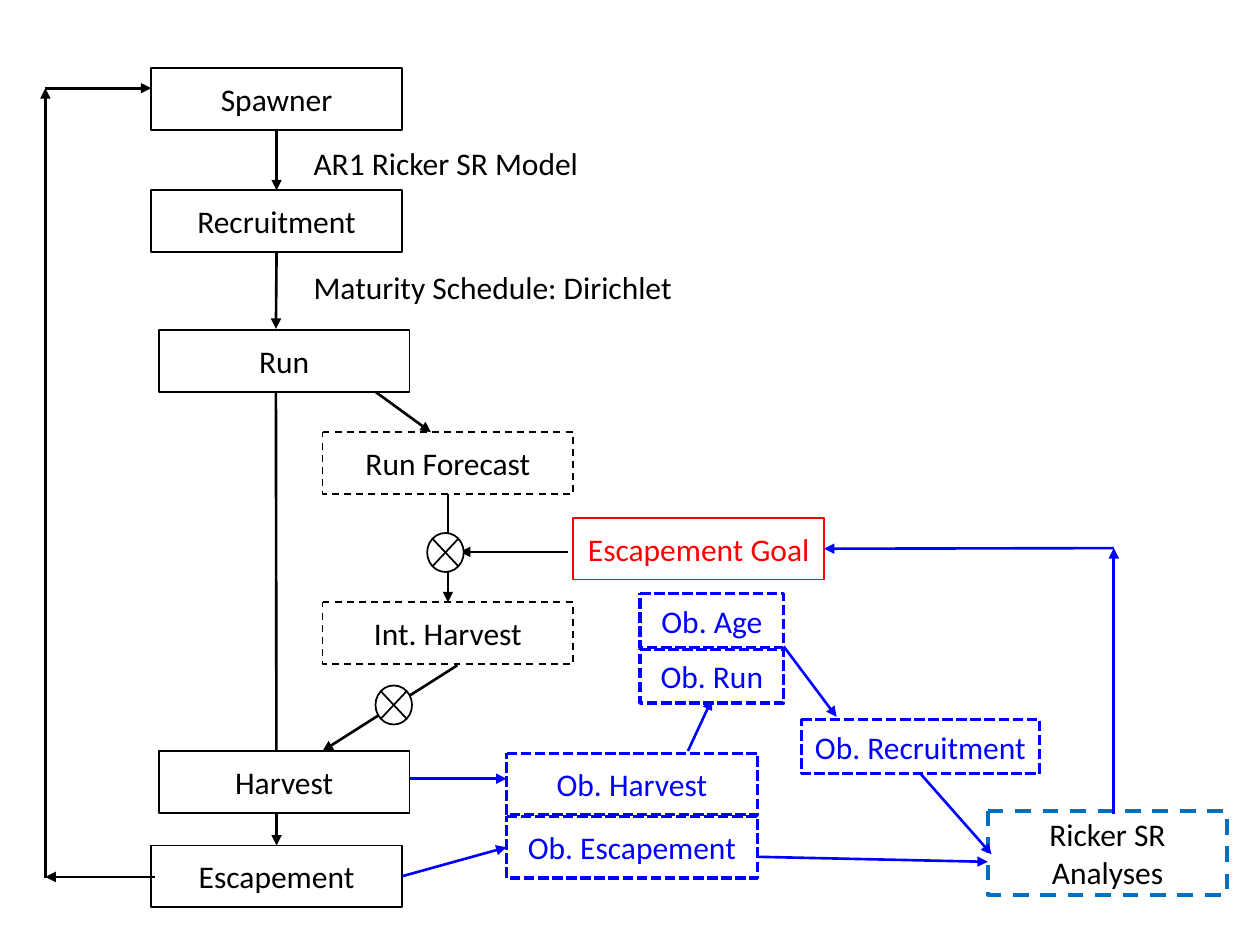
from dataclasses import dataclass
from typing import NamedTuple, Optional, Union

from lxml import etree
from pptx import Presentation
from pptx.dml.color import RGBColor
from pptx.enum.dml import MSO_LINE
from pptx.enum.shapes import MSO_CONNECTOR, MSO_SHAPE
from pptx.enum.text import MSO_ANCHOR, MSO_AUTO_SIZE, PP_ALIGN
from pptx.oxml.ns import qn
from pptx.util import Inches, Pt

PROCESS = MSO_SHAPE.FLOWCHART_PROCESS
JUNCTION = MSO_SHAPE.FLOWCHART_SUMMING_JUNCTION
STRAIGHT = MSO_CONNECTOR.STRAIGHT
DASH, DOTS = MSO_LINE.DASH, MSO_LINE.SQUARE_DOT
MIDDLE, CENTER = MSO_ANCHOR.MIDDLE, PP_ALIGN.CENTER
GROW = MSO_AUTO_SIZE.SHAPE_TO_FIT_TEXT
TOP, LEFT, BOTTOM, RIGHT = range(4)


@dataclass(frozen=True)
class Theme:
    font: str = "Calibri"
    size: float = 18
    arrow: float = 1.5
    black: str = "000000"
    white: str = "FFFFFF"
    red: str = "FF0000"
    blue: str = "0000FF"
    teal: str = "0070C0"


THEME = Theme()
COLS, ROWS = 100, 75
deck = Presentation()
deck.slide_width, deck.slide_height = Inches(10), Inches(7.5)
slide = deck.slides.add_slide(deck.slide_layouts[6])
CELL_W, CELL_H = deck.slide_width / COLS, deck.slide_height / ROWS


class Style(NamedTuple):
    line: str = THEME.black
    text: str = THEME.black
    width: float = 1
    dash: Optional[int] = None


class Box(NamedTuple):
    name: str
    col: float
    row: float
    style: Style
    cols: float = 19.9
    rows: float = 4.9


class Spot(NamedTuple):
    col: float
    row: float


class Tie(NamedTuple):
    name: str
    side: int


class Arrow(NamedTuple):
    start: Union[Spot, Tie]
    end: Union[Spot, Tie]
    color: str = THEME.black


STATE = Style()
PLAN = Style(dash=DASH)
GOAL = Style(THEME.red, THEME.red)
SEEN = Style(THEME.blue, THEME.blue, 2, DOTS)
STUDY = Style(THEME.teal, THEME.black, 2.25, DASH)

BACK = [
    Box("Spawner", 12, 5.4, STATE),
    Box("Recruitment", 12, 15.1, STATE),
    Box("Run", 12.6, 26.2, STATE),
    Box("Run Forecast", 25.6, 34.3, PLAN),
    Box("Int. Harvest", 25.6, 47.8, PLAN),
    Box("Escapement", 12, 67.1, STATE),
    Box("Escapement Goal", 45.5, 41.1, GOAL),
    Box("Ob. Harvest", 40.2, 59.8, SEEN),
    Box("Ob. Escapement", 40.2, 64.8, SEEN),
    Box("Ob. Recruitment", 63.6, 57.1, SEEN, 18.9, 4.3),
    Box("Ricker SR Analyses", 78.4, 64.4, STUDY, 19, 6.6),
]
FRONT = [
    Box("Harvest", 12.6, 59.6, STATE),
    Box("Ob. Run", 50.8, 51.5, SEEN, 11.4, 4.3),
    Box("Ob. Age", 50.8, 47.1, SEEN, 11.4, 4.3),
]
ARROWS = [
    Arrow(Tie("Spawner", BOTTOM), Tie("Recruitment", TOP)),
    Arrow(Tie("Recruitment", BOTTOM), Spot(21.9, 26.1)),
    Arrow(Spot(21.9, 31.1), Tie("Escapement", TOP)),
    Arrow(Spot(29.8, 31.1), Spot(34.2, 34.3)),
    Arrow(Tie("Run Forecast", BOTTOM), Tie("Int. Harvest", TOP)),
    Arrow(Spot(45.1, 43.8), Spot(36.5, 43.8)),
    Arrow(Spot(36.3, 52.8), Spot(25.6, 59.6)),
    Arrow(Spot(12.3, 69.6), Spot(3.6, 69.6)),
    Arrow(Spot(3.6, 69.7), Spot(3.6, 7)),
    Arrow(Spot(3.6, 7), Spot(12, 7)),
    Arrow(Spot(32.5, 61.8), Spot(40.2, 61.8), THEME.blue),
    Arrow(Tie("Escapement", RIGHT), Tie("Ob. Escapement", LEFT), THEME.blue),
    Arrow(Spot(54.6, 59.6), Spot(56.5, 55.5), THEME.blue),
    Arrow(Spot(62.2, 51.3), Spot(66.4, 56.9), THEME.blue),
    Arrow(Tie("Ob. Recruitment", BOTTOM), Spot(78.7, 67.8), THEME.blue),
    Arrow(Spot(60.1, 68), Spot(78.4, 68.4), THEME.blue),
    Arrow(Spot(88.4, 64.6), Spot(88.4, 43.5), THEME.blue),
    Arrow(Spot(88.4, 43.5), Tie("Escapement Goal", RIGHT), THEME.blue),
]
KNOTS = [Spot(33.9, 42.3), Spot(29.8, 54.4)]
NOTES = [
    ("AR1 Ricker SR Model", Spot(23.9, 10.9), 23.3),
    ("Maturity Schedule: Dirichlet", Spot(23.9, 20.8), 31.4),
]
boxes = {}


def apply(item, form: dict) -> None:
    for key, value in form.items():
        setattr(item, key, value)


def place(col: float, row: float) -> tuple:
    return round(col * CELL_W), round(row * CELL_H)


def write(shape, text: str, color: str, frame: dict) -> None:
    apply(shape.text_frame, frame)
    run = shape.text_frame.paragraphs[0].add_run()
    run.text = text
    apply(run.font, {"name": THEME.font, "size": Pt(THEME.size)})
    run.font.color.rgb = RGBColor.from_string(color)


def draw_shape(kind: int, at: Spot, size: Spot, style: Style):
    shape = slide.shapes.add_shape(kind, *place(*at), *place(*size))
    shape.shadow.inherit = False
    shape.fill.solid()
    shape.fill.fore_color.rgb = RGBColor.from_string(THEME.white)
    shape.line.color.rgb = RGBColor.from_string(style.line)
    apply(shape.line, {"width": Pt(style.width), "dash_style": style.dash})
    return shape


def draw_box(box: Box) -> None:
    shape = draw_shape(PROCESS, Spot(box.col, box.row),
                       Spot(box.cols, box.rows), box.style)
    write(shape, box.name, box.style.text,
          {"word_wrap": True, "vertical_anchor": MIDDLE})
    shape.text_frame.paragraphs[0].alignment = CENTER
    boxes[box.name] = shape


def draw_arrow(arrow: Arrow) -> None:
    ends = [place(*end) if isinstance(end, Spot) else (0, 0)
            for end in arrow[:2]]
    line = slide.shapes.add_connector(STRAIGHT, *ends[0], *ends[1])
    for end, join in zip(arrow[:2], (line.begin_connect, line.end_connect)):
        if isinstance(end, Tie):
            join(boxes[end.name], end.side)
    line.line.color.rgb = RGBColor.from_string(arrow.color)
    line.line.width = Pt(THEME.arrow)
    etree.SubElement(line.line._get_or_add_ln(), qn("a:tailEnd"),
                     type="triangle")
    etree.SubElement(line._element.spPr, qn("a:effectLst"))


def draw_note(text: str, at: Spot, cols: float) -> None:
    note = slide.shapes.add_textbox(*place(*at), *place(cols, 4))
    write(note, text, THEME.black, {"word_wrap": False, "auto_size": GROW})


for box in BACK:
    draw_box(box)
for arrow in ARROWS:
    draw_arrow(arrow)
for box in FRONT:
    draw_box(box)
for knot in KNOTS:
    draw_shape(JUNCTION, knot, Spot(2.9, 3.1), STATE)
for note in NOTES:
    draw_note(*note)

deck.save("out.pptx")
